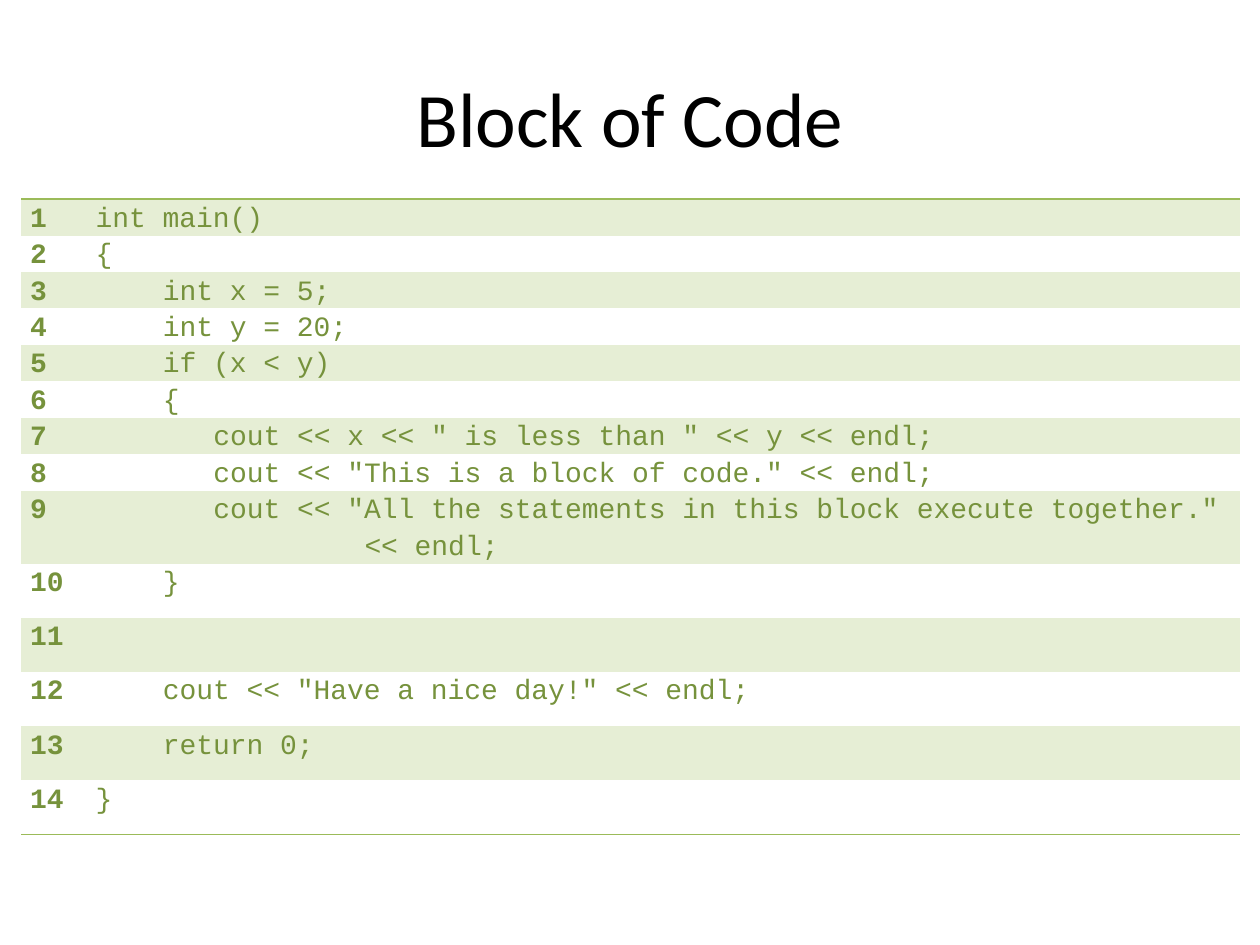
import pptx
import pptx.dml.color
import pptx.enum.text
import pptx.oxml
import pptx.oxml.ns
import pptx.util
from lxml import etree

TITLE = "Block of Code"
# (first column, column of a wrapped line, code)
CODE_LINES = [
    (0, 0, "int main()"),
    (0, 0, "{"),
    (4, 4, "int x = 5;"),
    (4, 4, "int y = 20;"),
    (4, 4, "if (x < y)"),
    (4, 4, "{"),
    (7, 7, 'cout << x << " is less than " << y << endl;'),
    (7, 7, 'cout << "This is a block of code." << endl;'),
    (7, 16, 'cout << "All the statements in this block execute together." << endl;'),
    (4, 4, "}"),
    (0, 0, ""),
    (4, 4, 'cout << "Have a nice day!" << endl;'),
    (4, 4, "return 0;"),
    (0, 0, "}"),
]

WIDTH, HEIGHT = 10, 7.5
TABLE_LEFT, TABLE_TOP = 0.17, 1.58
COLUMN_WIDTHS = (0.52, 9.15)
SHORT_ROW, TALL_ROW, SHORT_ROWS = 0.22, 0.43, 8
CODE_SIZE = 16
CHARACTER_WIDTH = 0.6 * CODE_SIZE
GREEN, BAND, RULE, BLACK = "76923C", "E6EED5", "9BBB59", "000000"
PLAIN_TABLE_STYLE = "{2D5ABB26-0587-4C30-8999-92F81FD0307C}"


def color(hex_code):
    return pptx.dml.color.RGBColor.from_string(hex_code)


def style_font(font, name, size, hex_code, bold=False):
    font.name, font.size, font.bold = name, pptx.util.Pt(size), bold
    font.color.rgb = color(hex_code)


def indent_code(para, first, wrapped):
    """Set the left edges of first and wrapped lines, in characters."""
    properties = para._p.get_or_add_pPr()
    properties.set("marL", str(pptx.util.Pt(wrapped * CHARACTER_WIDTH)))
    properties.set("indent", str(pptx.util.Pt((first - wrapped) * CHARACTER_WIDTH)))


def add_rule(cell, side):
    """Draw a cell border; side is lnT (top) or lnB (bottom)."""
    border = etree.Element(pptx.oxml.ns.qn("a:" + side), w=str(pptx.util.Pt(1)))
    fill = etree.SubElement(border, pptx.oxml.ns.qn("a:solidFill"))
    etree.SubElement(fill, pptx.oxml.ns.qn("a:srgbClr"), val=RULE)
    cell._tc.get_or_add_tcPr().insert(0, border)


def fill_cell(cell, text, banded, bold):
    cell.margin_left = cell.margin_right = pptx.util.Inches(0.07)
    cell.margin_top = cell.margin_bottom = 0
    if banded:
        cell.fill.solid()
        cell.fill.fore_color.rgb = color(BAND)
    else:
        cell.fill.background()
    para = cell.text_frame.paragraphs[0]
    para.text = text
    para.line_spacing = 1.15
    for span in para.runs:
        style_font(span.font, "Courier New", CODE_SIZE, GREEN, bold)
    return para


def add_title(page):
    title = page.shapes.title
    title.left, title.top = pptx.util.Inches(0.05 * WIDTH), pptx.util.Inches(0.04 * HEIGHT)
    title.width, title.height = pptx.util.Inches(0.9 * WIDTH), pptx.util.Inches(HEIGHT / 6)
    title.text_frame.text = TITLE
    title.text_frame.vertical_anchor = pptx.enum.text.MSO_ANCHOR.MIDDLE
    para = title.text_frame.paragraphs[0]
    para.alignment = pptx.enum.text.PP_ALIGN.CENTER
    style_font(para.runs[0].font, "Calibri", 44, BLACK)


def add_listing(page):
    count = len(CODE_LINES)
    heights = [SHORT_ROW] * SHORT_ROWS + [TALL_ROW] * (count - SHORT_ROWS)
    bounds = (TABLE_LEFT, TABLE_TOP, sum(COLUMN_WIDTHS), sum(heights))
    frame = page.shapes.add_table(count, 2, *map(pptx.util.Inches, bounds))
    table = frame.table
    table.first_row = table.horz_banding = False
    table._tbl.tblPr.find(pptx.oxml.ns.qn("a:tableStyleId")).text = PLAIN_TABLE_STYLE
    for column, width in zip(table.columns, COLUMN_WIDTHS):
        column.width = pptx.util.Inches(width)
    for index, (first, wrapped, code) in enumerate(CODE_LINES):
        table.rows[index].height = pptx.util.Inches(heights[index])
        banded = index % 2 == 0
        fill_cell(table.cell(index, 0), str(index + 1), banded, True)
        para = fill_cell(table.cell(index, 1), code, banded, False)
        indent_code(para, first, wrapped)
    for column in range(2):
        add_rule(table.cell(0, column), "lnT")
        add_rule(table.cell(count - 1, column), "lnB")


def main():
    deck = pptx.Presentation()
    deck.slide_width = pptx.util.Inches(WIDTH)
    deck.slide_height = pptx.util.Inches(HEIGHT)
    page = deck.slides.add_slide(deck.slide_layouts[5])
    add_title(page)
    add_listing(page)
    deck.save("out.pptx")


if __name__ == "__main__":
    main()
